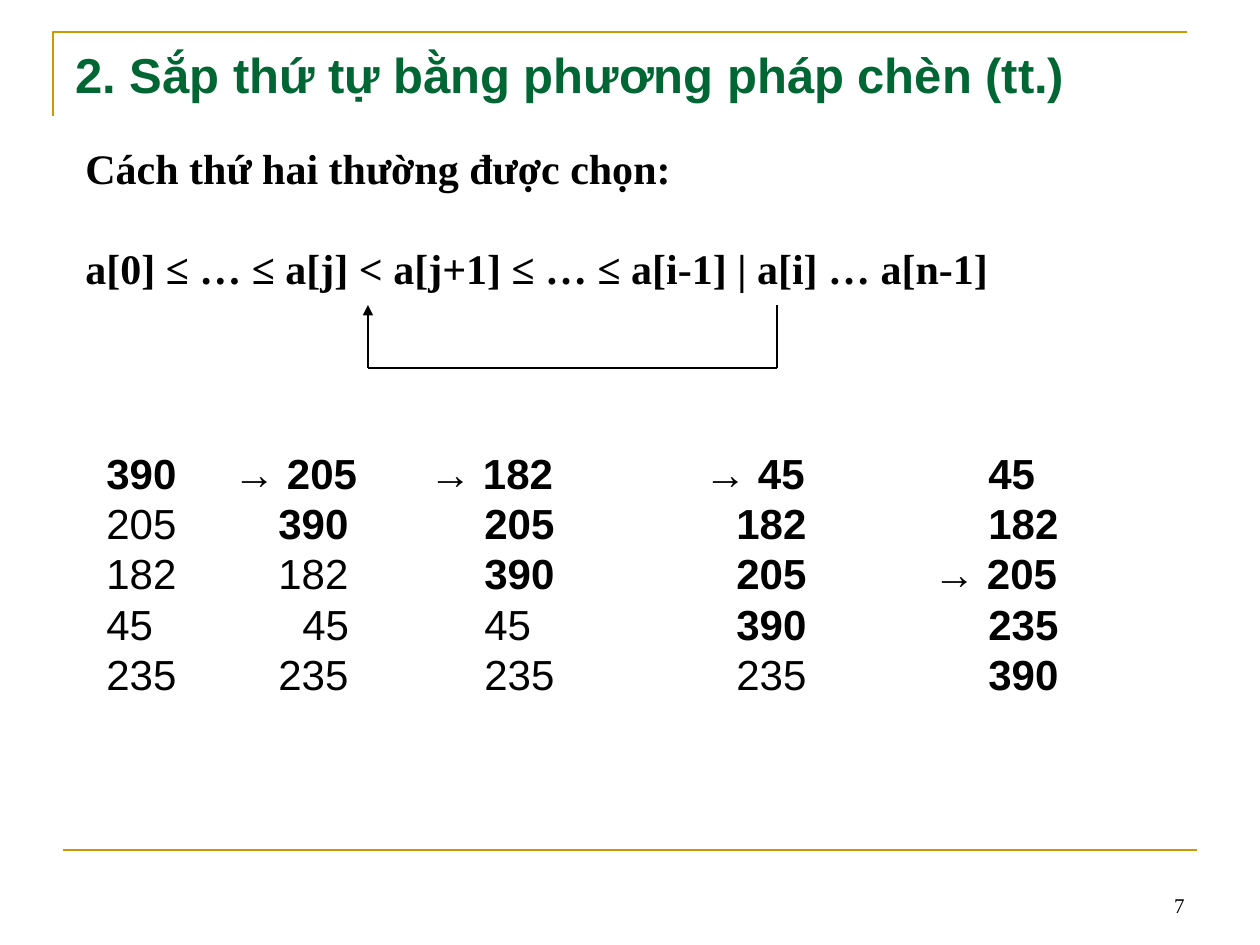
from pptx import Presentation
from pptx.dml.color import RGBColor
from pptx.enum.text import MSO_ANCHOR, PP_ALIGN
from pptx.oxml.ns import qn
from pptx.util import Emu, Pt
from lxml.etree import SubElement

"""Build a slide on insertion sort with a shift arrow and the sorting steps."""

PX = 914400 // 126
deck = Presentation()
deck.slide_width, deck.slide_height = Emu(1260 * PX), Emu(945 * PX)
slide = deck.slides.add_slide(deck.slide_layouts[6])
shapes = slide.shapes


def text(paras, box, font="Arial", size=24, color="000000", bold=True,
         align=PP_ALIGN.LEFT, anchor=MSO_ANCHOR.TOP, pitch=None, gap=0):
    """Add a text box; each paragraph is a list of (text, bold, tab) runs or a string."""
    frame = shapes.add_textbox(*[n * PX for n in box]).text_frame
    frame.word_wrap = True
    frame.vertical_anchor = anchor
    for i, cells in enumerate(paras):
        para = frame.add_paragraph() if i else frame.paragraphs[0]
        para.alignment = align
        if pitch:
            para.line_spacing = Pt(pitch)
        if i and gap:
            para.space_before = Pt(gap)
        if isinstance(cells, str):
            cells = [(cells, bold, 0)]
        stops = [tab for _, _, tab in cells if tab]
        if stops:
            tabs = SubElement(para._p.get_or_add_pPr(), qn("a:tabLst"))
            for stop in stops:
                SubElement(tabs, qn("a:tab"), pos=str(stop * PX), algn="l")
        for words, heavy, tab in cells:
            run = para.add_run()
            run.text = "\t" + words if tab else words
            run.font.name, run.font.size, run.font.bold = font, Pt(size), heavy
            run.font.color.rgb = RGBColor.from_string(color)


def line(start, end, color="000000", width=0.75, head=False):
    """Add a straight line, with an arrowhead at its end if asked."""
    rule = shapes.add_connector(1, *[n * PX for n in start + end])
    rule.line.color.rgb = RGBColor.from_string(color)
    rule.line.width = Pt(width)
    if head:
        SubElement(rule.line._get_or_add_ln(), qn("a:tailEnd"), type="triangle")
    SubElement(rule._element.spPr, qn("a:effectLst"))


GOLD = "CC9900"
pen = shapes.build_freeform(53 * PX, 116 * PX)
pen.add_line_segments([(53 * PX, 32 * PX), (1187 * PX, 32 * PX)], close=False)
frame = pen.convert_to_shape()
frame.shadow.inherit = False
frame.fill.background()
frame.line.color.rgb = RGBColor.from_string(GOLD)
frame.line.width = Pt(1.5)
line((63, 850), (1197, 850), GOLD, 1.5)

text(["2. Sắp thứ tự bằng phương pháp chèn (tt.)"], (63, 38, 1134, 67),
     size=28, color="006633")
text(["Cách thứ hai thường được chọn:",
      "a[0] ≤ … ≤ a[j] < a[j+1] ≤ … ≤ a[i-1] | a[i] … a[n-1]"],
     (73, 136, 1124, 164), font="Times New Roman", pitch=28.8, gap=28.8)

LEFT = 107
cols = [107, 279, 485, 737, 989]
moved = {(0, 1): 234, (0, 2): 430, (0, 3): 705, (2, 4): 934, (3, 1): 303}
steps = [
    ["390", "→ 205", "→ 182", "→ 45", "45"],
    ["205", "390", "205", "182", "182"],
    ["182", "182", "390", "205", "→ 205"],
    ["45", "45", "45", "390", "235"],
    ["235", "235", "235", "235", "390"],
]
rows = [[(word, r <= c, moved.get((r, c), cols[c]) - LEFT)
         for c, word in enumerate(row)] for r, row in enumerate(steps)]
text(rows, (94, 441, 1071, 265), pitch=28.8)

line((777, 305), (777, 368))
line((368, 368), (368, 305), head=True)
line((777, 368), (368, 368))

text(["7"], (903, 861, 294, 63), font="Times New Roman", size=12, bold=False,
     align=PP_ALIGN.RIGHT, anchor=MSO_ANCHOR.BOTTOM)

deck.save("out.pptx")
